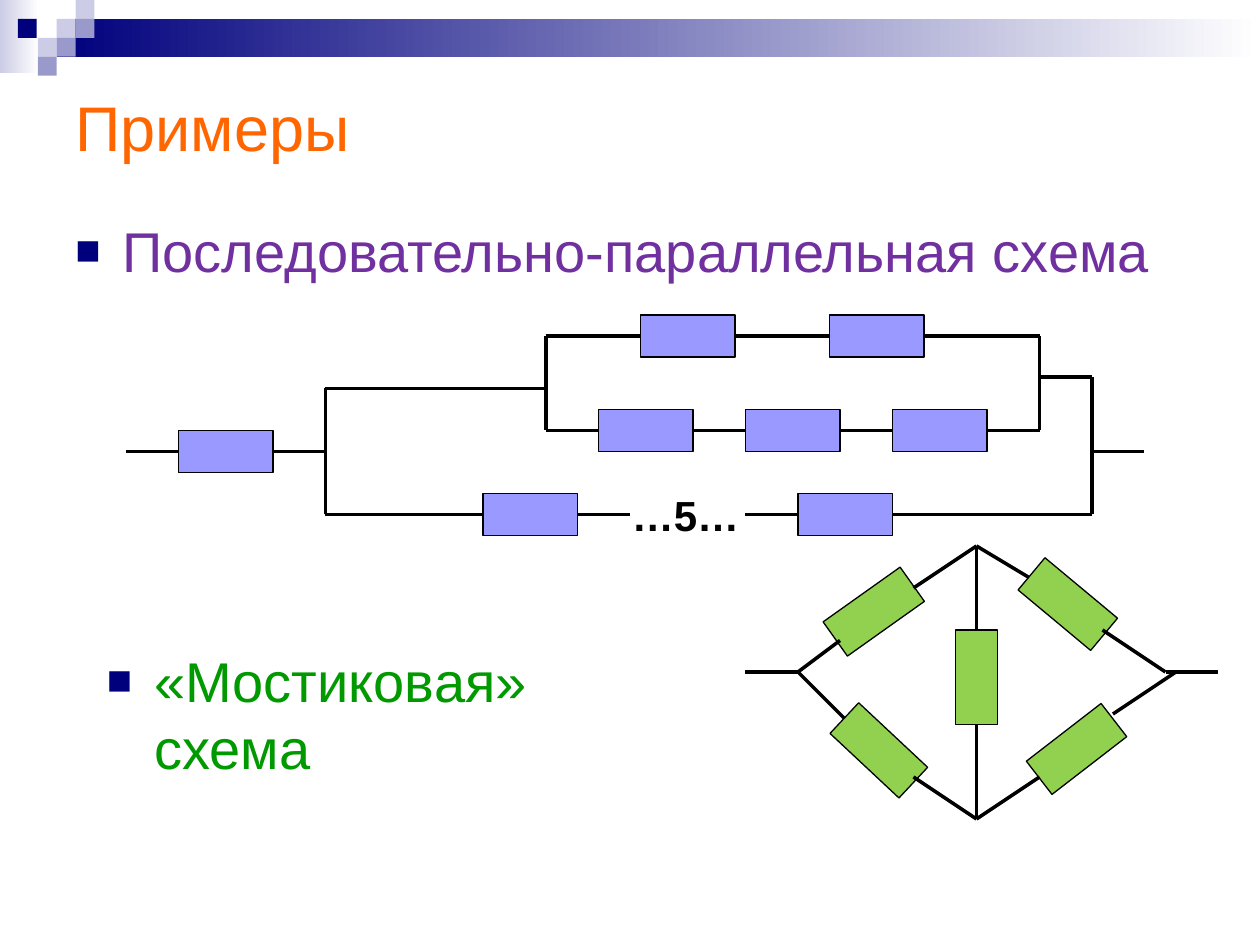
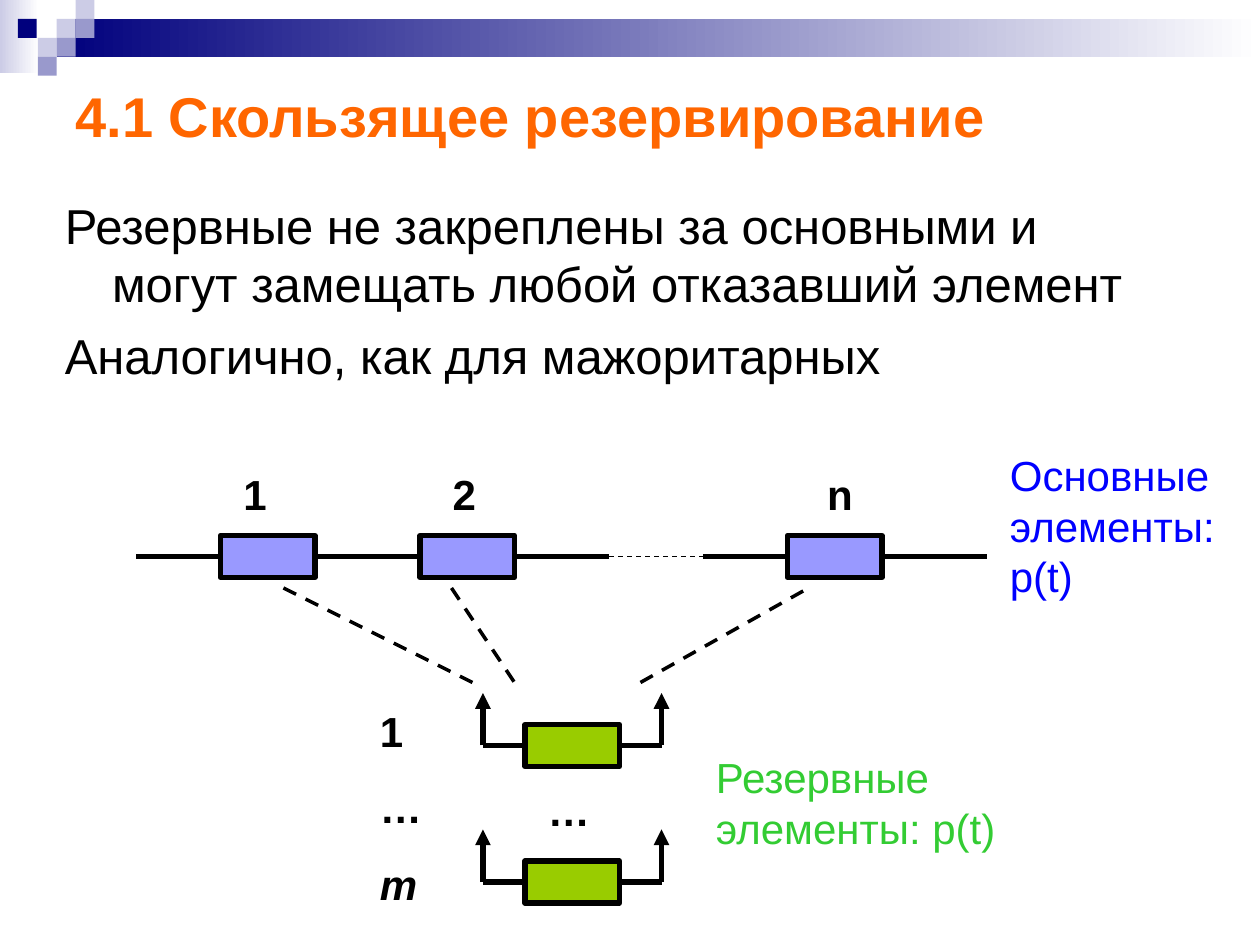
from typing import NamedTuple, Optional

from lxml.etree import SubElement
from pptx import Presentation
from pptx.dml.color import RGBColor
from pptx.enum.dml import MSO_LINE_DASH_STYLE as Dash
from pptx.enum.shapes import MSO_CONNECTOR as Connector, MSO_SHAPE as Shape
from pptx.enum.text import MSO_ANCHOR as Anchor, PP_ALIGN as Align
from pptx.oxml.ns import qn
from pptx.util import Pt

# Colours
BLACK = RGBColor(0x00, 0x00, 0x00)
WHITE = RGBColor(0xFF, 0xFF, 0xFF)
NAVY = RGBColor(0x00, 0x00, 0x7D)
PALE_LILAC = RGBColor(0xCC, 0xCC, 0xE6)
LILAC = RGBColor(0x99, 0x99, 0xCC)
ORANGE = RGBColor(0xFF, 0x66, 0x00)
PURPLE = RGBColor(0x70, 0x30, 0xA0)
GREEN = RGBColor(0x00, 0x99, 0x00)
BLUE = RGBColor(0x00, 0x00, 0xFF)
LIGHT_GREEN = RGBColor(0x33, 0xCC, 0x33)
MAIN_FILL = RGBColor(0x99, 0x99, 0xFF)
BRIDGE_FILL = RGBColor(0x92, 0xD0, 0x50)
RESERVE_FILL = RGBColor(0x99, 0xCC, 0x00)

FONT = "Arial"
CELL = 10.8  # side of a corner mosaic square
ELEMENT_WIDTH, ELEMENT_HEIGHT = 54, 24
HANGING = 27
LEFT_SIDE, RIGHT_SIDE = 1, 3
TOP_SIDE, BOTTOM_SIDE = 0, 2


class Box(NamedTuple):
    left: float
    top: float
    width: float
    height: float


class Point(NamedTuple):
    x: float
    y: float


class Joint(NamedTuple):
    """Middle of one side of an element."""
    shape: object
    side: int


class Style(NamedTuple):
    fill: RGBColor
    outline: float
    wire: float


class Row(NamedTuple):
    """Horizontal wire with elements strung on it."""
    y: float
    start: float
    end: float
    elements: tuple = ()


class Tilted(NamedTuple):
    """Element given by its centre and rotation."""
    x: float
    y: float
    rotation: float


class MosaicCell(NamedTuple):
    column: float
    row: int
    color: RGBColor


SERIES = Style(MAIN_FILL, 0.75, 2)
BRIDGE = Style(BRIDGE_FILL, 0.75, 2)
MAIN = Style(MAIN_FILL, 3, 3)
RESERVE = Style(RESERVE_FILL, 3, 3)

MOSAIC = (
    MosaicCell(3, 1, PALE_LILAC), MosaicCell(4, 0, PALE_LILAC),
    MosaicCell(4, 1, LILAC), MosaicCell(2, 2, PALE_LILAC),
    MosaicCell(0.94, 1, NAVY), MosaicCell(3, 2, LILAC), MosaicCell(2, 3, LILAC),
)


def add_box(slide, box: Box, color: Optional[RGBColor] = None):
    shape = slide.shapes.add_shape(Shape.RECTANGLE, *map(Pt, box))
    shape.shadow.inherit = False
    shape.line.fill.background()
    if color is not None:
        shape.fill.solid()
        shape.fill.fore_color.rgb = color
    return shape


def add_fading_band(slide, box: Box, color: RGBColor) -> None:
    fill = add_box(slide, box).fill
    fill.gradient()
    fill.gradient_angle = 0
    for stop, stop_color in zip(fill.gradient_stops, (color, WHITE)):
        stop.color.rgb = stop_color


def add_text(slide, box: Box, *lines: str, size: float = 24, color: RGBColor = BLACK,
             bold: bool = False, last_italic: bool = False, before: float = 15,
             hanging: float = 0, bullet: bool = False, anchor=Anchor.TOP,
             align=Align.LEFT) -> None:
    frame = slide.shapes.add_textbox(*map(Pt, box)).text_frame
    frame.word_wrap = True
    frame.vertical_anchor = anchor
    for index, line in enumerate(lines):
        paragraph = frame.add_paragraph() if index else frame.paragraphs[0]
        paragraph.alignment = align
        paragraph.space_before = Pt(before)
        run = paragraph.add_run()
        run.text = line
        font = run.font
        font.name, font.size, font.bold = FONT, Pt(size), bold
        font.italic = last_italic and index == len(lines) - 1
        font.color.rgb = color
        properties = paragraph._p.get_or_add_pPr()
        if hanging:
            properties.set("marL", str(Pt(hanging)))
            properties.set("indent", str(-Pt(hanging)))
        if bullet:
            bullet_color = SubElement(properties, qn("a:buClr"))
            SubElement(bullet_color, qn("a:srgbClr"), val=str(NAVY))
            SubElement(properties, qn("a:buSzPct"), val="75000")
            SubElement(properties, qn("a:buFont"), typeface=FONT)
            SubElement(properties, qn("a:buChar"), char="■")


def add_wire(slide, start, end, width: float, dashed: bool = False,
             arrow: bool = False) -> None:
    """Draw a line between two ends, each a Point or a Joint."""
    places = [end_ if isinstance(end_, Point) else Point(0, 0) for end_ in (start, end)]
    wire = slide.shapes.add_connector(
        Connector.STRAIGHT, *(Pt(value) for place in places for value in place))
    if isinstance(start, Joint):
        wire.begin_connect(start.shape, start.side)
    if isinstance(end, Joint):
        wire.end_connect(end.shape, end.side)
    wire.line.color.rgb = BLACK
    wire.line.width = Pt(width)
    if dashed:
        wire.line.dash_style = Dash.DASH
    if arrow:
        SubElement(wire.line._get_or_add_ln(), qn("a:tailEnd"), type="triangle")
    SubElement(wire._element.spPr, qn("a:effectLst"))


def add_element(slide, box: Box, style: Style, rotation: float = 0):
    shape = add_box(slide, box, style.fill)
    shape.line.color.rgb = BLACK
    shape.line.width = Pt(style.outline)
    shape.rotation = rotation
    return shape


def add_row(slide, row: Row, style: Style) -> None:
    start = Point(row.start, row.y)
    for left in row.elements:
        box = Box(left, row.y - ELEMENT_HEIGHT / 2, ELEMENT_WIDTH, ELEMENT_HEIGHT)
        shape = add_element(slide, box, style)
        add_wire(slide, start, Joint(shape, LEFT_SIDE), style.wire)
        start = Joint(shape, RIGHT_SIDE)
    add_wire(slide, start, Point(row.end, row.y), style.wire)


def add_base_slide(presentation, title: str, title_box: Box, size: float,
                   bold: bool = False):
    """Add a slide with the shared header decoration and title."""
    slide = presentation.slides.add_slide(presentation.slide_layouts[6])
    add_fading_band(slide, Box(0, 0, 22.3, 41.8), PALE_LILAC)
    add_fading_band(slide, Box(3 * CELL, CELL, 720 - 3 * CELL, 2 * CELL), NAVY)
    for cell in MOSAIC:
        add_box(slide, Box(cell.column * CELL, cell.row * CELL, CELL, CELL), cell.color)
    add_text(slide, title_box, title, size=size, color=ORANGE, bold=bold, before=0,
             anchor=Anchor.MIDDLE)
    return slide


def add_bridge(slide) -> None:
    left, right = Point(456, 384), Point(666, 384)
    top, bottom = Point(558, 312), Point(558, 468)
    middle = add_element(
        slide, Box(546, 360, ELEMENT_HEIGHT, ELEMENT_WIDTH), BRIDGE)
    for arm in (Tilted(615.2, 428, 322.3), Tilted(610.2, 345.2, 39.8),
                Tilted(499.3, 349.5, 324.6), Tilted(502.2, 428.8, 43.1)):
        box = Box(arm.x - ELEMENT_WIDTH / 2, arm.y - ELEMENT_HEIGHT / 2,
                  ELEMENT_WIDTH, ELEMENT_HEIGHT)
        add_element(slide, box, BRIDGE, arm.rotation)
    for start, end in (
        (Point(426, 384), left), (right, Point(696, 384)),
        (Joint(middle, TOP_SIDE), top), (Joint(middle, BOTTOM_SIDE), bottom),
        (left, Point(480, 366)), (Point(522, 336), top),
        (left, Point(482.4, 410.4)), (Point(522, 444), bottom),
        (top, Point(588, 330)), (Point(630, 360), right),
        (bottom, Point(594, 444)), (Point(636, 408), Point(672, 384)),
    ):
        add_wire(slide, start, end, BRIDGE.wire)


def build_examples(presentation) -> None:
    slide = add_base_slide(presentation, "Примеры", Box(36, 30, 372, 84), 36)
    add_text(slide, Box(36, 120, 642, 48), "Последовательно-параллельная схема",
             size=32, color=PURPLE, before=8, hanging=HANGING, bullet=True)
    add_text(slide, Box(54, 366, 348, 102), "«Мостиковая» схема",
             size=32, color=GREEN, before=8, hanging=HANGING, bullet=True)
    add_text(slide, Box(354, 276, 90, 36), "…5…", bold=True)

    # Series-parallel circuit
    for row in (
        Row(258, 72, 186, (102,)), Row(222, 186, 312),
        Row(192, 312, 594, (366, 474)), Row(246, 312, 594, (342, 426, 510)),
        Row(294, 186, 360, (276,)), Row(294, 426, 624, (456,)),
        Row(215.5, 594, 624), Row(258, 624, 654),
    ):
        add_row(slide, row, SERIES)
    for x, top, bottom in ((312, 192, 246), (594, 192, 246),
                           (186, 222, 294), (624, 215.5, 294)):
        add_wire(slide, Point(x, top), Point(x, bottom), SERIES.wire)

    add_bridge(slide)


def build_sliding_reserve(presentation) -> None:
    slide = add_base_slide(presentation, "4.1 Скользящее резервирование",
                           Box(36, 30, 648, 72), 32, bold=True)
    add_text(slide, Box(30, 108, 648, 144),
             "Резервные не закреплены за основными и могут замещать любой отказавший элемент",
             "Аналогично, как для мажоритарных", size=28, before=7, hanging=HANGING)

    # Main chain
    add_row(slide, Row(318, 78, 348, (126, 240)), MAIN)
    add_row(slide, Row(318, 402, 564, (450,)), MAIN)
    add_wire(slide, Point(348, 318), Point(402, 318), 0.75, dashed=True)
    for label, center in (("1", 145.7), ("2", 265.3), ("n", 480)):
        add_text(slide, Box(center - 24, 264, 48, 36), label, bold=True,
                 align=Align.CENTER)

    # Reserve elements with arrows to the chain
    for y in (426, 504):
        add_row(slide, Row(y, 276, 378, (300,)), RESERVE)
        for x in (276, 378):
            add_wire(slide, Point(x, y), Point(x, y - 30), RESERVE.wire, arrow=True)
    for start, end in ((Point(162, 336), Point(270, 390)),
                       (Point(258, 336), Point(294, 390)),
                       (Point(366, 390), Point(462, 336))):
        add_wire(slide, start, end, 2, dashed=True)

    # Labels
    add_text(slide, Box(306, 445, 48, 36), "…", bold=True)
    add_text(slide, Box(210, 399.5, 36, 124), "1", "…", "m", bold=True, last_italic=True)
    add_text(slide, Box(570, 253.5, 156, 93.5), "Основные элементы: p(t)", color=BLUE)
    add_text(slide, Box(402, 426, 210, 65), "Резервные элементы: p(t)", color=LIGHT_GREEN)


def main() -> None:
    presentation = Presentation()
    presentation.slide_width, presentation.slide_height = Pt(720), Pt(540)
    build_examples(presentation)
    build_sliding_reserve(presentation)
    presentation.save("out.pptx")


if __name__ == "__main__":
    main()
